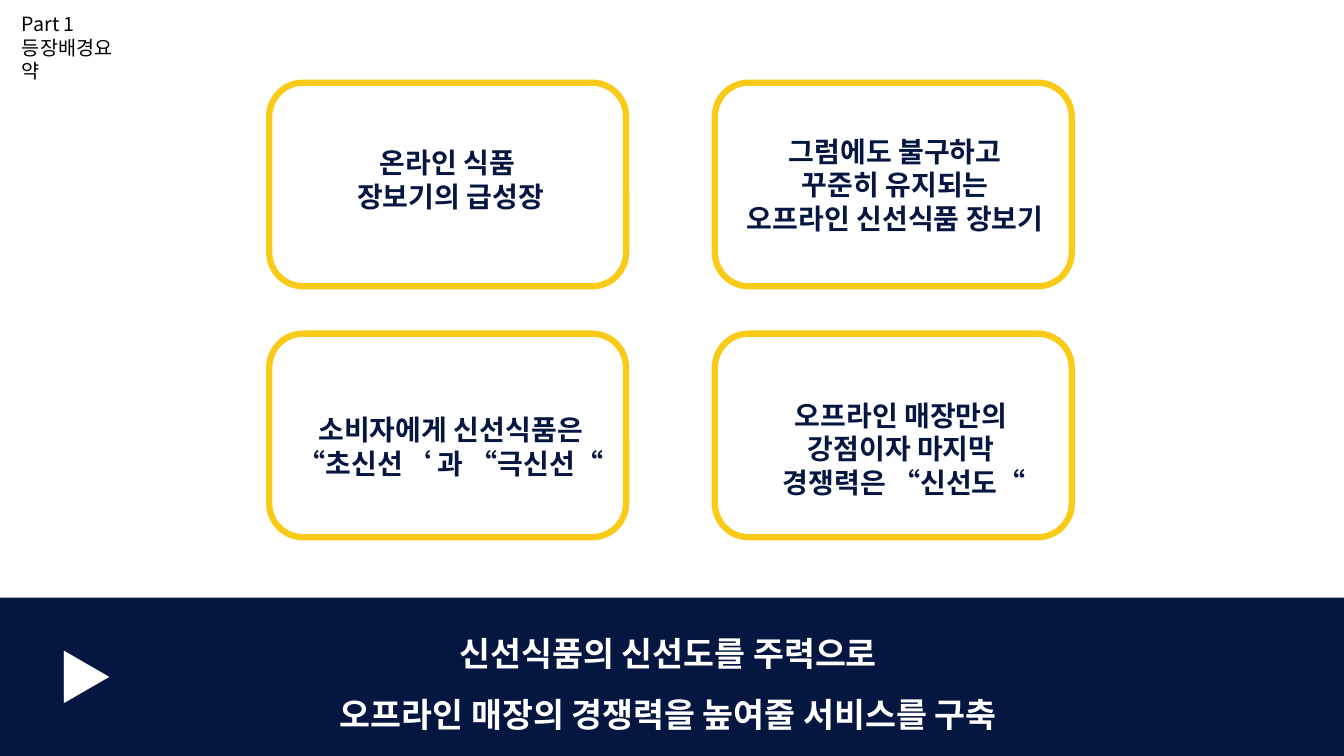
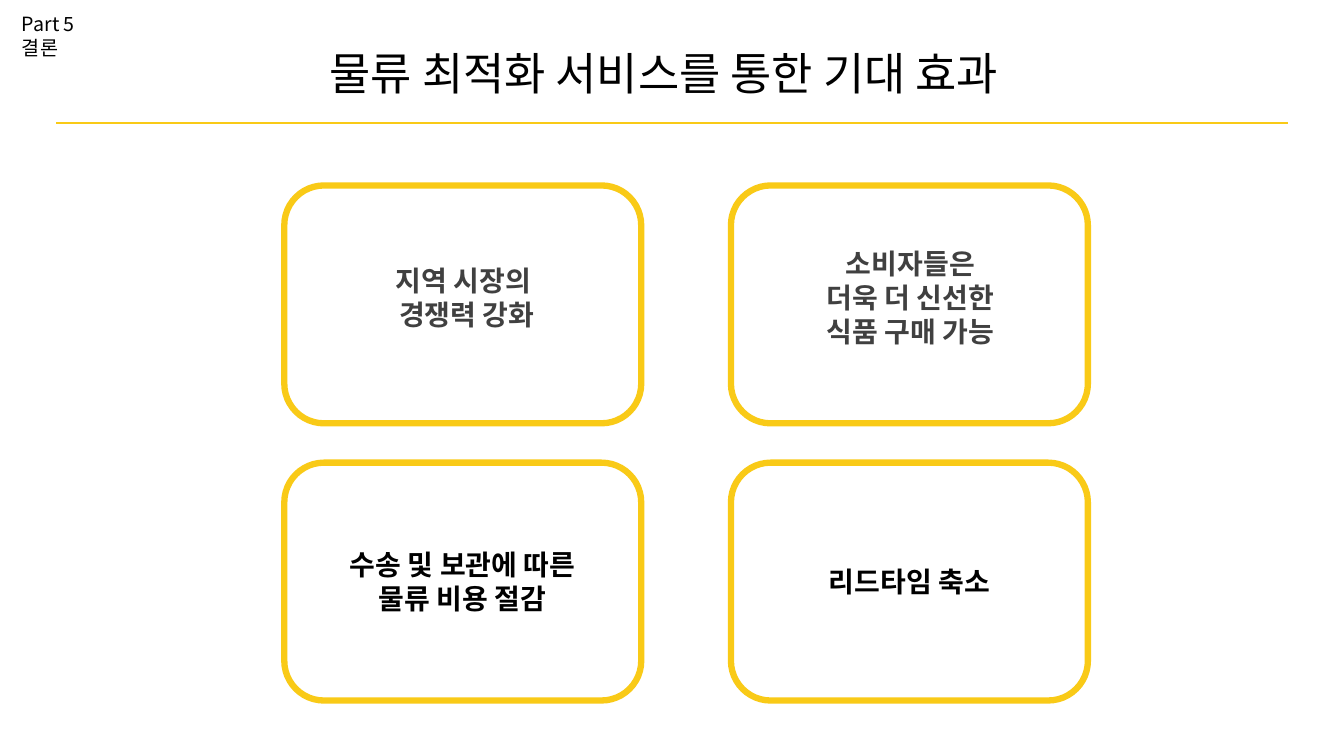
import pptx
import pptx.util
import pptx.dml.color
import pptx.enum.shapes
import pptx.enum.text
import pptx.oxml.ns
from lxml import etree

Inches = pptx.util.Inches
Pt = pptx.util.Pt
SHAPE = pptx.enum.shapes.MSO_SHAPE
ALIGN = pptx.enum.text.PP_ALIGN
ANCHOR = pptx.enum.text.MSO_ANCHOR
qn = pptx.oxml.ns.qn

FONT = "Noto Sans CJK KR"
HEX = {"navy": "051741", "gold": "F9CA17", "white": "FFFFFF",
       "black": "000000", "gray": "404040"}
WIDE, HIGH = 13.33, 7.5


def color(name):
    """Return the named colour."""
    return pptx.dml.color.RGBColor.from_string(HEX[name])


def write(slide, box, lines, size, tint, bold=False, align=ALIGN.LEFT,
          anchor=ANCHOR.TOP, wrap=True, space=1.0):
    """Add a text box with one paragraph for each line."""
    frame = slide.shapes.add_textbox(*map(Inches, box)).text_frame
    frame.word_wrap = wrap
    frame.vertical_anchor = anchor
    for i, line in enumerate(lines):
        para = frame.paragraphs[0] if i == 0 else frame.add_paragraph()
        para.alignment = align
        para.line_spacing = space
        run = para.add_run()
        run.text = line
        font = run.font
        font.name, font.size, font.bold = FONT, Pt(size), bold
        font.color.rgb = color(tint)
        props = run._r.get_or_add_rPr()
        etree.SubElement(props, qn("a:ea")).set("typeface", FONT)


def label(slide, part, topic):
    """Add the section label in the top left corner."""
    write(slide, (0.12, 0.07, 1.27, 0.57), [part, topic], 14, "black",
          wrap=False)


def card(slide, box, lines, tint, shift):
    """Add a rounded frame with its caption shifted from the centre."""
    left, top, wide, high = box
    frame = slide.shapes.add_shape(SHAPE.ROUNDED_RECTANGLE,
                                   *map(Inches, box))
    frame.shadow.inherit = False
    frame.fill.background()
    frame.line.color.rgb = color("gold")
    frame.line.width = Pt(4.5)
    write(slide, (left + shift[0], top + shift[1], wide, high), lines, 20,
          tint, True, ALIGN.CENTER, ANCHOR.MIDDLE)


def grid(slide, box, gaps, cards):
    """Fill a box with cards, two in each row."""
    left, top, wide, high = box
    wide, high = (wide - gaps[0]) / 2, (high - gaps[1]) / 2
    for i, (lines, tint, shift) in enumerate(cards):
        row, col = divmod(i, 2)
        spot = (left + col * (wide + gaps[0]), top + row * (high + gaps[1]))
        card(slide, (*spot, wide, high), lines, tint, shift)


def band(slide, box, lines):
    """Add the closing band with its marker and message."""
    left, top, wide, high = box
    bar = slide.shapes.add_shape(SHAPE.RECTANGLE, *map(Inches, box))
    bar.shadow.inherit = False
    bar.fill.solid()
    bar.fill.fore_color.rgb = color("navy")
    bar.line.fill.background()
    write(slide, (left, top + 0.1, wide, 1.25), lines, 24, "white", True,
          ALIGN.CENTER, space=1.5)
    write(slide, (left + 0.47, top + 0.4, 1.03, 0.77), ["▶"], 40, "white",
          True)


def title(slide, box, text):
    """Add the heading with a rule along the foot of its box."""
    left, top, wide, high = box
    write(slide, (left + 2.61, top, 7, 0.64), [text], 32, "black",
          wrap=False)
    foot = Inches(top + high)
    rule = slide.shapes.add_connector(
        pptx.enum.shapes.MSO_CONNECTOR.STRAIGHT,
        Inches(left), foot, Inches(left + wide), foot)
    rule.line.color.rgb = color("gold")
    rule.line.width = Pt(1.5)
    etree.SubElement(rule._element.spPr, qn("a:effectLst"))


def summary(slide):
    """Build the background summary slide."""
    band(slide, (0, 5.93, WIDE, 1.57),
         ["신선식품의 신선도를 주력으로 ",
          "오프라인 매장의 경쟁력을 높여줄 서비스를 구축 "])
    grid(slide, (2.67, 0.82, 7.96, 4.51), (0.88, 0.47), [
        (["온라인 식품 ", "장보기의 급성장"], "navy", (0.03, -0.05)),
        (["그럼에도 불구하고", "꾸준히 유지되는", "오프라인 신선식품 장보기"],
         "navy", (0.02, 0)),
        (["소비자에게 신선식품은", "“초신선‘ 과 “극신선“"],
         "navy", (0.03, 0.11)),
        (["오프라인 매장만의 ", "강점이자 마지막 ", "경쟁력은 “신선도“"],
         "navy", (0.11, 0.13)),
    ])
    label(slide, "Part 1", "등장배경요약")


def effects(slide):
    """Build the expected effects slide."""
    grid(slide, (2.82, 1.84, 7.97, 5.11), (0.89, 0.39), [
        (["지역 시장의 ", "경쟁력 강화"], "gray", (0.04, -0.07)),
        (["소비자들은", "더욱 더 신선한", "식품 구매 가능"],
         "gray", (0.01, -0.07)),
        (["수송 및 보관에 따른", "물류 비용 절감"], "black", (0, 0)),
        (["리드타임 축소"], "black", (0, 0)),
    ])
    title(slide, (0.56, 0.4, 12.21, 0.82),
          "물류 최적화 서비스를 통한 기대 효과")
    label(slide, "Part 5", "결론")


def main():
    """Build and save the deck."""
    deck = pptx.Presentation()
    deck.slide_width, deck.slide_height = Inches(WIDE), Inches(HIGH)
    for build in (summary, effects):
        build(deck.slides.add_slide(deck.slide_layouts[6]))
    deck.save("out.pptx")


if __name__ == "__main__":
    main()
